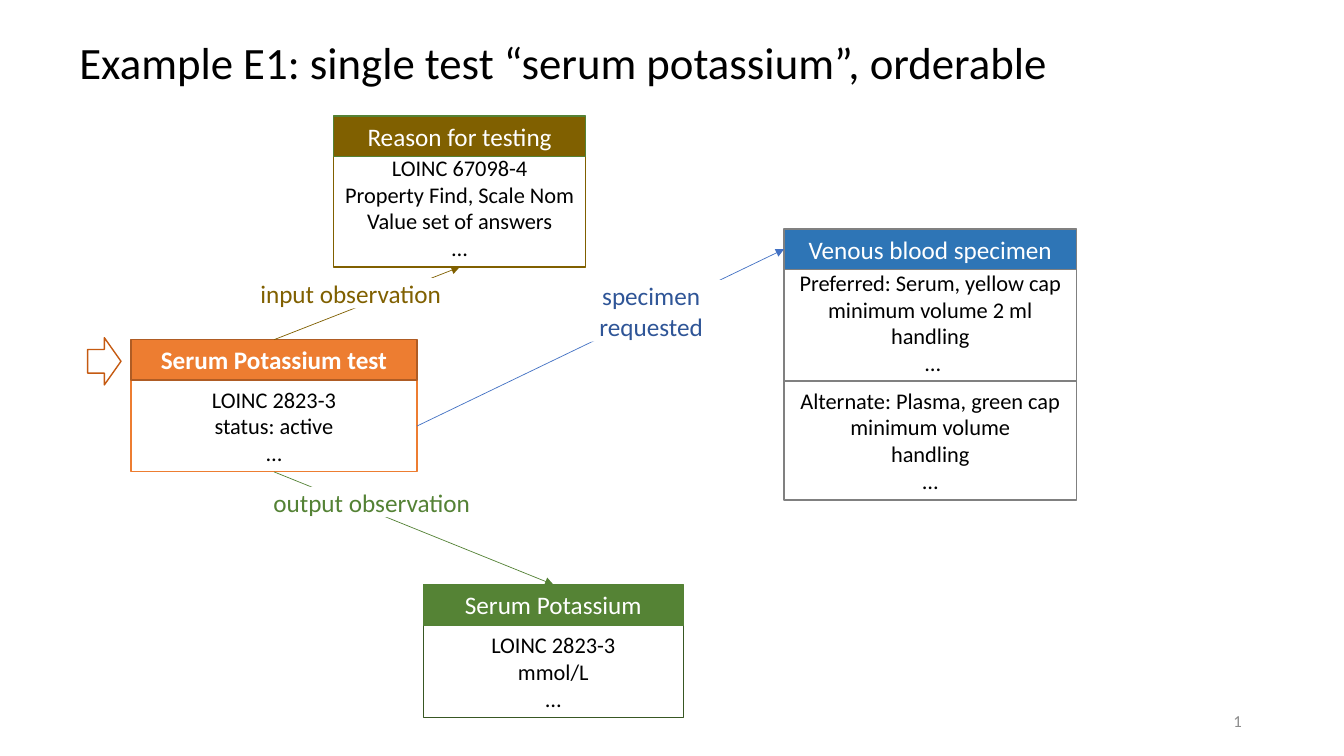
import pptx
import pptx.util
import pptx.dml.color
import pptx.enum.shapes
import pptx.enum.text
import lxml.etree
from dataclasses import dataclass

Cm = pptx.util.Cm
Pt = pptx.util.Pt
Shapes = pptx.enum.shapes.MSO_SHAPE
Align = pptx.enum.text.PP_ALIGN
Anchor = pptx.enum.text.MSO_ANCHOR


@dataclass(frozen=True)
class Theme:
    font: str = "Calibri"
    title_size: int = 32
    header_size: int = 18
    body_size: int = 16
    number_size: int = 12
    white: str = "FFFFFF"
    black: str = "000000"
    grey: str = "808080"
    number: str = "8C8C8C"
    orange: str = "ED7D31"
    dark_orange: str = "AF5C24"
    arrow: str = "C55A11"
    blue: str = "2E75B6"
    link_blue: str = "4472C4"
    label_blue: str = "2F5597"
    green: str = "548235"
    header_green: str = "558335"
    dark_green: str = "385723"
    brown: str = "806000"


theme = Theme()

TITLE = "Example E1: single test “serum potassium”, orderable"
HEADER_HEIGHT = 1.02

CARDS = {
    "test": dict(
        header="Serum Potassium test", bold=True, left=3.3, top=8.56, width=7.21,
        fill=theme.orange, header_line=theme.dark_orange, body_line=theme.orange,
        bodies=[(9.58, 2.31, ["LOINC 2823-3", "status: active", "…"])]),
    "specimen": dict(
        header="Venous blood specimen", left=19.76, top=5.77, width=7.37,
        fill=theme.blue, header_line=theme.grey, body_line=theme.grey,
        bodies=[(6.63, 3, ["Preferred: Serum, yellow cap", "minimum volume 2 ml", "handling", " …"]),
                (9.6, 3, ["Alternate: Plasma, green cap", "minimum volume", "handling", "…"])]),
    "potassium": dict(
        header="Serum Potassium", left=10.67, top=14.73, width=6.55,
        fill=theme.header_green, header_line=theme.green, body_line=theme.dark_green,
        bodies=[(15.77, 2.31, ["LOINC 2823-3", "mmol/L", "…"])]),
    "reason": dict(
        header="Reason for testing", left=8.41, top=2.92, width=6.35,
        fill=theme.brown, header_line=theme.green, body_line=theme.brown,
        bodies=[(3.73, 3, ["LOINC 67098-4", "Property Find, Scale Nom", "Value set of answers", "…"])]),
}

TOP, LEFT, BOTTOM, RIGHT = range(4)
LINKS = [
    (("test", "body", RIGHT), ("specimen", "header", LEFT), theme.link_blue),
    (("test", "body", BOTTOM), ("potassium", "header", TOP), theme.green),
    (("test", "header", TOP), ("reason", "body", BOTTOM), theme.brown),
]

LABELS = [
    ("output observation", (5.84, 12.27, 7.06, 0.76), theme.green, 0.25),
    ("input observation", (4.37, 7.01, 8.94, 0.76), theme.brown, 0.25),
    ("specimen requested", (14.53, 7.06, 3.76, 1.55), theme.label_blue, 0),
]

presentation = pptx.Presentation()
presentation.slide_width = Cm(33.87)
presentation.slide_height = Cm(19.05)
slide = presentation.slides.add_slide(presentation.slide_layouts[6])


def color(value):
    return pptx.dml.color.RGBColor.from_string(value)


def add_box(box, fill=None, line=None, preset=Shapes.RECTANGLE):
    shape = slide.shapes.add_shape(preset, *map(Cm, box))
    shape.shadow.inherit = False
    if fill:
        shape.fill.solid()
        shape.fill.fore_color.rgb = color(fill)
    else:
        shape.fill.background()
    if line:
        shape.line.color.rgb = color(line)
        shape.line.width = Pt(1)
    else:
        shape.line.fill.background()
    return shape


def write(shape, *lines, size, ink, bold=False, align=Align.CENTER,
          anchor=Anchor.MIDDLE, side=0.25, edge=0.13, spacing=None):
    frame = shape.text_frame
    frame.word_wrap = True
    frame.vertical_anchor = anchor
    frame.margin_left = frame.margin_right = Cm(side)
    frame.margin_top = frame.margin_bottom = Cm(edge)
    for index, text in enumerate(lines):
        paragraph = frame.add_paragraph() if index else frame.paragraphs[0]
        paragraph.alignment = align
        paragraph.line_spacing = spacing
        run = paragraph.add_run()
        run.text = text
        run.font.name = theme.font
        run.font.size = Pt(size)
        run.font.bold = bold
        run.font.color.rgb = color(ink)


def add_card(header, left, top, width, fill, header_line, body_line, bodies, bold=False):
    parts = {}
    for body_top, height, lines in bodies:
        parts["body"] = add_box((left, body_top, width, height), theme.white, body_line)
        write(parts["body"], *lines, size=theme.body_size, ink=theme.black)
    parts["header"] = add_box((left, top, width, HEADER_HEIGHT), fill, header_line)
    write(parts["header"], header, size=theme.header_size, ink=theme.white, bold=bold)
    return parts


def add_link(start, end, ink):
    connector = slide.shapes.add_connector(pptx.enum.shapes.MSO_CONNECTOR.STRAIGHT, 0, 0, 0, 0)
    for connect, (card, part, site) in ((connector.begin_connect, start), (connector.end_connect, end)):
        connect(cards[card][part], site)
    connector.line.color.rgb = color(ink)
    connector.line.width = Pt(0.5)
    line = connector.line._get_or_add_ln()
    namespace = "{" + line.nsmap["a"] + "}"
    lxml.etree.SubElement(line, namespace + "tailEnd", type="triangle")
    lxml.etree.SubElement(line.getparent(), namespace + "effectLst")


cards = {name: add_card(**card) for name, card in CARDS.items()}
for link in LINKS:
    add_link(*link)
for text, box, ink, side in LABELS:
    write(add_box(box, theme.white), text, size=theme.header_size, ink=ink, side=side, edge=0)
add_box((2.21, 8.51, 0.84, 1.19), line=theme.arrow, preset=Shapes.RIGHT_ARROW)

title = slide.shapes.add_textbox(Cm(1.75), Cm(0.13), Cm(30.53), Cm(2.26))
write(title, TITLE, size=theme.title_size, ink=theme.black, align=Align.LEFT,
      anchor=Anchor.BOTTOM, spacing=0.9)
number = slide.shapes.add_textbox(Cm(23.93), Cm(17.65), Cm(7.62), Cm(1.02))
write(number, "1", size=theme.number_size, ink=theme.number, align=Align.RIGHT)

presentation.save("out.pptx")
